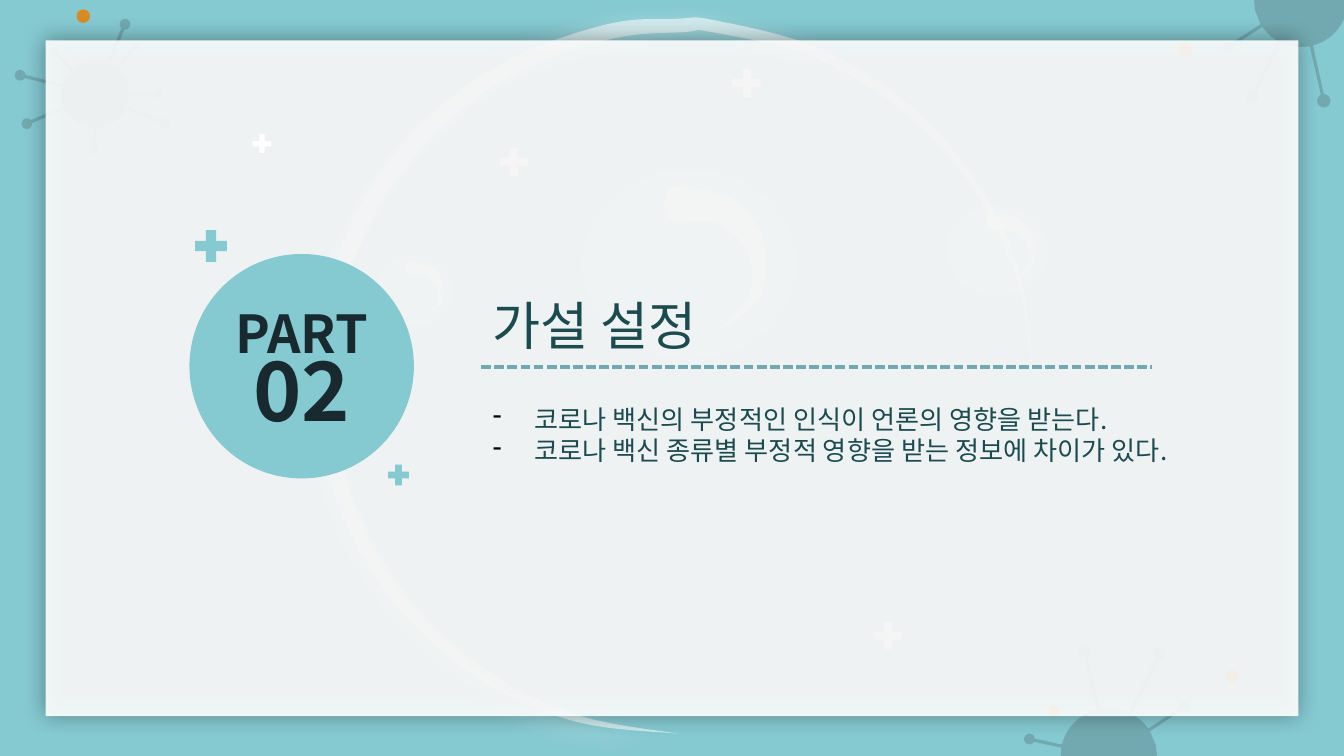
from math import atan2, cos, hypot, pi, sin

from lxml.etree import SubElement
from pptx import Presentation
from pptx.dml.color import RGBColor
from pptx.enum.dml import MSO_LINE
from pptx.enum.shapes import MSO_CONNECTOR, MSO_SHAPE
from pptx.enum.text import MSO_AUTO_SIZE, PP_ALIGN
from pptx.oxml.ns import qn
from pptx.util import Inches, Pt

TEAL = RGBColor(0x85, 0xC9, 0xD1)
DUSTY_TEAL = RGBColor(0x72, 0xA9, 0xB0)
DEEP_TEAL = RGBColor(0x1B, 0x4A, 0x4F)
INK = RGBColor(0x18, 0x2A, 0x30)
ORANGE = RGBColor(0xD9, 0x8A, 0x23)
MIST = RGBColor(0xDA, 0xE7, 0xEF)
WHITE = RGBColor(0xFF, 0xFF, 0xFF)
BLACK = RGBColor(0, 0, 0)
FONT = "Noto Sans CJK KR"

TITLE = {"size": Pt(28), "name": FONT, "color": DEEP_TEAL}
BODY = {**TITLE, "size": Pt(14)}
PART = {**TITLE, "color": INK, "bold": True}
NUMBER = {**PART, "size": Pt(44)}

VIRUSES = [
    (8.25, 5.63, 0.36, [(7.66, 5.5, 0.04), (8.07, 4.84, 0.05),
                        (8.63, 4.87, 0.05), (8.81, 5.26, 0.04)]),
    (9.68, 0, 0.35, [(10.24, 0.13, 0.04), (9.85, 0.75, 0.05),
                     (9.32, 0.72, 0.05), (9.14, 0.35, 0.04)]),
    (0.71, 0.7, 0.25, [(0.93, 0.18, 0.04), (1.01, 0.34, 0.03),
                       (1.18, 0.7, 0.03), (1.23, 0.92, 0.04),
                       (0.7, 1.12, 0.03), (0.2, 0.92, 0.04),
                       (0.15, 0.56, 0.04), (0.4, 0.38, 0.03)]),
]
DOTS = [(8.77, 0.32, 0.1), (0.57, 0.07, 0.1), (9.12, 4.98, 0.1), (7.8, 5.25, 0.08)]
BUBBLES = [
    ((4.33, 1.26, 1.59, 1.41), (4.92, 1.39, 1), 53),
    ((7.04, 1.53, 0.76, 0.67), (7.33, 1.59, 0.48), 65),
    ((2.79, 1.9, 0.58, 0.52), (3.01, 1.95, 0.37), 65),
]
GLINT = [(0.42, 1.07), (0.71, 0.85), (0.78, 0.47), (0.56, 0.11), (0.15, 0),
         (0.05, 0.03), (0.02, 0.16), (0.07, 0.24), (0.15, 0.27), (0.28, 0.26),
         (0.46, 0.29), (0.65, 0.5), (0.65, 0.82), (0.42, 1.07)]
RING_OUTER = [(7.69, 2.82), (7.59, 2.05), (7.26, 1.34), (6.74, 0.76), (6.07, 0.35),
              (5.31, 0.15), (5.04, 0.14), (4.52, 0.18), (3.78, 0.45), (3.14, 0.92),
              (2.67, 1.55), (2.4, 2.3), (2.36, 3.09), (2.56, 3.86), (2.97, 4.53),
              (3.56, 5.05), (4.28, 5.37), (5.05, 5.46)]
RING_INNER = [(5.05, 5.46), (4.29, 5.32), (3.61, 4.98), (3.05, 4.46), (2.67, 3.81),
              (2.49, 3.08), (2.52, 2.32), (2.78, 1.61), (3.23, 1), (3.83, 0.55),
              (4.55, 0.29), (5.09, 0.24), (5.3, 0.24), (6.04, 0.42), (6.7, 0.81),
              (7.22, 1.37), (7.56, 2.06), (7.69, 2.82)]
CROSSES = [(5.45, 0.51, 0.21), (3.72, 1.1, 0.21), (6.51, 4.63, 0.2)]
HYPOTHESES = ["코로나 백신의 부정적인 인식이 언론의 영향을 받는다.",
              "코로나 백신 종류별 부정적 영향을 받는 정보에 차이가 있다."]


def arc(x, y, radius, start, end, steps=12):
    angles = [start + (end - start) * step / steps for step in range(steps + 1)]
    return [(x + radius * cos(angle), y + radius * sin(angle)) for angle in angles]


def smooth(points, steps=6):
    padded = [points[0], *points, points[-1]]
    curve = []
    for a, b, c, d in zip(padded, padded[1:], padded[2:], padded[3:]):
        for step in range(steps):
            t = step / steps
            curve.append(tuple(
                q + t * (r - p) / 2 + t * t * (p - 2.5 * q + 2 * r - s / 2)
                + t ** 3 * (3 * q - p - 3 * r + s) / 2
                for p, q, r, s in zip(a, b, c, d)))
    return curve + [points[-1]]


def virus_outline(x, y, radius, knobs, half_width=0.012):
    arms = sorted((atan2(ky - y, kx - x) % (2 * pi), kx, ky, size) for kx, ky, size in knobs)
    gap = half_width / radius
    points = []
    for index, (angle, kx, ky, size) in enumerate(arms):
        following = arms[(index + 1) % len(arms)][0]
        if following <= angle:
            following += 2 * pi
        neck = half_width / size
        points += arc(kx, ky, size, angle - pi + neck, angle + pi - neck)
        points += arc(x, y, radius, angle + gap, following - gap)
    return [(px, min(max(py, 0), 5.63)) for px, py in points]


class SlideBuilder:
    def __init__(self, page):
        self.page = page
        self.shapes = page.shapes
        page.background.fill.solid()
        page.background.fill.fore_color.rgb = TEAL

    def paint(self, shape, color, alpha=100, shadow=None):
        shape.shadow.inherit = False
        shape.fill.solid()
        shape.fill.fore_color.rgb = color
        shape.line.fill.background()
        if alpha < 100:
            tone = shape.fill._xPr.find(".//" + qn("a:srgbClr"))
            SubElement(tone, qn("a:alpha"), val=str(alpha * 1000))
        if shadow:
            tint, opacity, blur, distance, direction = shadow
            effects = shape._element.spPr.find(qn("a:effectLst"))
            outer = SubElement(effects, qn("a:outerShdw"), blurRad=str(Pt(blur)),
                               dist=str(Pt(distance)), dir=str(direction * 60000),
                               algn="ctr", rotWithShape="0")
            tone = SubElement(outer, qn("a:srgbClr"), val=str(tint))
            SubElement(tone, qn("a:alpha"), val=str(opacity * 1000))

    def preset(self, kind, bounds, color, adjust=None, **style):
        shape = self.shapes.add_shape(kind, *map(Inches, bounds))
        if adjust is not None:
            shape.adjustments[0] = adjust
        self.paint(shape, color, **style)

    def outline(self, points, color, **style):
        start, *others = [(Inches(x), Inches(y)) for x, y in points]
        builder = self.shapes.build_freeform(*start)
        builder.add_line_segments(others, close=True)
        self.paint(builder.convert_to_shape(), color, **style)

    def rule(self, start, end):
        line = self.shapes.add_connector(MSO_CONNECTOR.STRAIGHT, *map(Inches, start + end))
        formats = {"width": Pt(1.75), "dash_style": MSO_LINE.SQUARE_DOT}
        for name, value in formats.items():
            setattr(line.line, name, value)
        line.line.color.rgb = DUSTY_TEAL
        SubElement(line._element.spPr, qn("a:effectLst"))

    def text_box(self, bounds, **formats):
        frame = self.shapes.add_textbox(*map(Inches, bounds)).text_frame
        for name, value in {"word_wrap": True, **formats}.items():
            setattr(frame, name, value)
        return frame

    def span(self, para, text, style):
        span = para.add_run()
        span.text = text
        for name, value in style.items():
            if name == "color":
                span.font.color.rgb = value
            else:
                setattr(span.font, name, value)
        SubElement(span.font._element, qn("a:ea"), typeface=style["name"])

    def indent(self, para, left, first=0, bullet=None):
        properties = para._p.get_or_add_pPr()
        properties.set("marL", str(Inches(left)))
        properties.set("indent", str(Inches(first)))
        if bullet:
            tone = SubElement(properties, qn("a:buClr"))
            SubElement(tone, qn("a:srgbClr"), val=str(BLACK))
            SubElement(properties, qn("a:buChar"), char=bullet)


def main():
    deck = Presentation()
    deck.slide_width, deck.slide_height = Inches(10), Inches(5.625)
    slide = SlideBuilder(deck.slides.add_slide(deck.slide_layouts[6]))

    for virus in VIRUSES:
        slide.outline(virus_outline(*virus), DUSTY_TEAL)
    for x, y, size in DOTS:
        slide.preset(MSO_SHAPE.OVAL, (x, y, size, size), ORANGE)
    slide.outline(smooth(RING_OUTER) + smooth(RING_INNER), WHITE, alpha=57,
                  shadow=(WHITE, 70, 13.5, 4.5, 122))
    for x, y, size in CROSSES:
        slide.preset(MSO_SHAPE.CROSS, (x, y, size, size), WHITE, adjust=0.36)
    for bounds, (x, y, scale), alpha in BUBBLES:
        slide.preset(MSO_SHAPE.OVAL, bounds, MIST, alpha=35)
        glint = [(x + scale * px, y + scale * py) for px, py in smooth(GLINT)]
        slide.outline(glint, WHITE, alpha=alpha)

    slide.preset(MSO_SHAPE.RECTANGLE, (0.34, 0.3, 9.32, 5.03), WHITE, alpha=90,
                 shadow=(BLACK, 40, 12, 0, 0))
    slide.preset(MSO_SHAPE.OVAL, (1.41, 1.89, 1.67, 1.67), TEAL)
    slide.preset(MSO_SHAPE.CROSS, (1.88, 1, 0.14, 0.14), WHITE, adjust=0.36)

    frame = slide.text_box((3.4, 1.9, 5.84, 1.95), auto_size=MSO_AUTO_SIZE.SHAPE_TO_FIT_TEXT)
    title = frame.paragraphs[0]
    title.line_spacing = 1.5
    slide.indent(title, 0.17)
    slide.span(title, "가설 설정", TITLE)
    for text, spacing in zip(HYPOTHESES, (2.5, 1.0)):
        para = frame.add_paragraph()
        para.line_spacing = spacing
        slide.indent(para, 0.48, -0.31, "-")
        slide.span(para, text, BODY)

    slide.rule((3.58, 2.73), (8.57, 2.73))
    for x, y, size in [(1.41, 1.67, 0.32), (2.86, 3.43, 0.21)]:
        slide.preset(MSO_SHAPE.MATH_PLUS, (x, y, size, size), TEAL)

    margins = {f"margin_{side}": Inches(0.1) for side in ("left", "top", "right", "bottom")}
    label = slide.text_box((1.36, 2.05, 1.77, 0.63), **margins).paragraphs[0]
    label.alignment = PP_ALIGN.CENTER
    label.line_spacing = Pt(40)
    slide.span(label, "PART", PART)
    label.add_line_break()
    slide.span(label, "02", NUMBER)
    deck.save("out.pptx")


if __name__ == "__main__":
    main()
